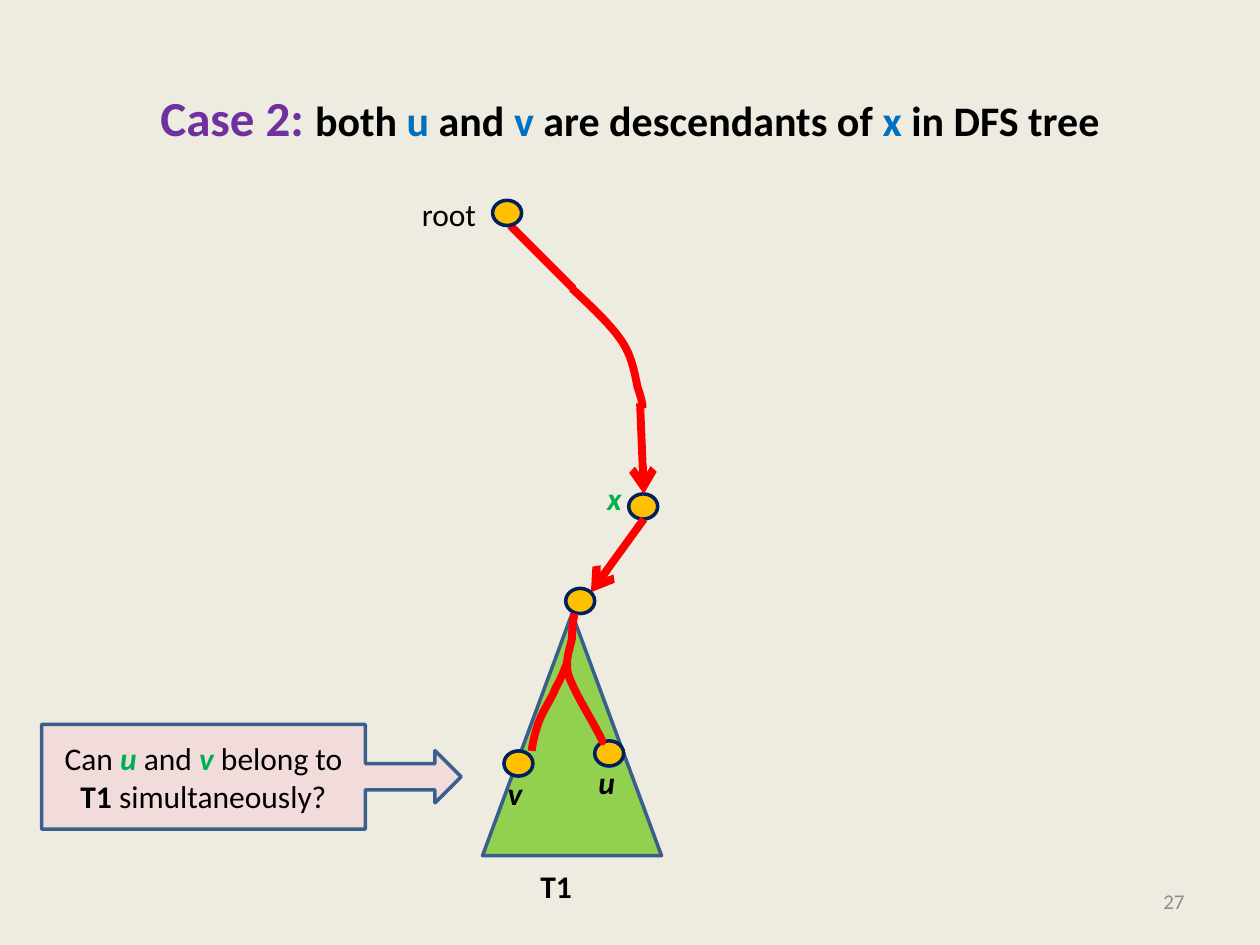
from pptx import Presentation
from pptx import util as u
from pptx.dml import color
from pptx.enum import shapes, text
from pptx.oxml import ns, xmlchemy

Inches, Pt = u.Inches, u.Pt
FONT = "Calibri"
COLORS = {
    "background": "EEECE1", "black": "000000", "purple": "7030A0",
    "blue": "0070C0", "green": "00B050", "gray": "8C8C8C",
    "path": "FF0000", "node": "FFC000", "node_edge": "002060",
    "subtree": "92D050", "callout": "F2DCDB", "outline": "3A5F8C",
}
NODE_WIDTH, NODE_HEIGHT, LABEL_HEIGHT = 0.23, 0.2, 0.4
CURVE_STEPS = 12


def rgb(name):
    return color.RGBColor.from_string(COLORS[name])


def write(frame, spans, size=18, align=text.PP_ALIGN.LEFT,
          anchor=text.MSO_ANCHOR.TOP, wrap=True):
    frame.word_wrap = wrap
    frame.vertical_anchor = anchor
    para = frame.paragraphs[0]
    para.alignment = align
    para.font.name = FONT
    para.font.size = Pt(size)
    for words, tint, style in spans:
        span = para.add_run()
        span.text = words
        span.font.color.rgb = rgb(tint)
        if "b" in style:
            span.font.bold = True
        if "i" in style:
            span.font.italic = True
    return para


def add_text(page, left, top, width, height, spans, **options):
    box = page.shapes.add_textbox(*map(Inches, (left, top, width, height)))
    return write(box.text_frame, spans, **options)


def add_filled(page, preset, left, top, width, height, fill, line):
    shape = page.shapes.add_shape(preset, *map(Inches, (left, top, width, height)))
    shape.shadow.inherit = False
    shape.fill.solid()
    shape.fill.fore_color.rgb = rgb(fill)
    shape.line.color.rgb = rgb(line)
    shape.line.width = Pt(2)
    return shape


def add_node(page, left, top):
    add_filled(page, shapes.MSO_SHAPE.OVAL, left, top, NODE_WIDTH, NODE_HEIGHT,
               "node", "node_edge")


def add_label(page, left, top, width, words, tint="black", style=""):
    add_text(page, left, top, width, LABEL_HEIGHT, [(words, tint, style)], wrap=False)


def style_path(shape):
    shape.line.color.rgb = rgb("path")
    shape.line.width = Pt(4.5)


def add_edge(page, start, end, arrow=False):
    edge = page.shapes.add_connector(
        shapes.MSO_CONNECTOR.STRAIGHT, *map(Inches, (*start, *end)))
    style_path(edge)
    properties = edge.line._get_or_add_ln()
    if arrow:
        head = xmlchemy.OxmlElement("a:tailEnd")
        head.set("type", "arrow")
        properties.append(head)
    properties.getparent().append(xmlchemy.OxmlElement("a:effectLst"))


def bezier(points, t):
    weights = ((1 - t) ** 3, 3 * t * (1 - t) ** 2, 3 * t * t * (1 - t), t ** 3)
    return tuple(sum(w * p[axis] for w, p in zip(weights, points)) for axis in (0, 1))


def add_curve(page, left, top, points):
    placed = [(left + x, top + y) for x, y in points]
    samples = [bezier(placed[i:i + 4], step / CURVE_STEPS)
               for i in range(0, len(placed) - 1, 3)
               for step in range(1, CURVE_STEPS + 1)]
    builder = page.shapes.build_freeform(*map(Inches, placed[0]), scale=1.0)
    builder.add_line_segments([(Inches(x), Inches(y)) for x, y in samples], close=False)
    curve = builder.convert_to_shape()
    curve.shadow.inherit = False
    curve.fill.background()
    style_path(curve)


def add_title(page, left, top, width, height):
    spans = [("Case 2: ", "purple", "b"), ("both ", "black", "b"), ("u", "blue", "b"),
             (" and ", "black", "b"), ("v", "blue", "b"),
             (" are descendants of ", "black", "b"), ("x ", "blue", "b"),
             ("in DFS tree", "black", "b")]
    para = add_text(page, left, top, width, height, spans, size=24,
                    align=text.PP_ALIGN.CENTER, anchor=text.MSO_ANCHOR.MIDDLE)
    para.runs[0].font.size = Pt(28)


def add_root_path(page, left, top):
    add_node(page, left + 1.74, top + 2.42)
    add_label(page, left + 1.47, top + 2.25, 0.32, "x", "green", "bi")
    add_edge(page, (left + 1.83, top + 1.7), (left + 1.86, top + 2.42), arrow=True)
    add_curve(page, left, top, [
        (1.29, 0.79), (1.44, 0.93), (1.59, 1.07), (1.68, 1.2), (1.77, 1.33),
        (1.79, 1.48), (1.81, 1.57), (1.84, 1.66), (1.85, 1.7), (1.85, 1.74)])
    add_edge(page, (left + 0.8, top + 0.29), (left + 1.3, top + 0.79))
    add_edge(page, (left + 1.86, top + 2.62), (left + 1.44, top + 3.2), arrow=True)
    add_node(page, left + 0.66, top + 0.09)
    add_label(page, left, top, 0.64, "root")


def add_subtree(page, left, top):
    add_filled(page, shapes.MSO_SHAPE.ISOSCELES_TRIANGLE, left, top + 0.2, 1.42, 1.92,
               "subtree", "outline")
    add_node(page, left + 0.66, top)
    add_curve(page, left, top, [
        (0.67, 0.59), (0.65, 0.65), (0.62, 0.72), (0.58, 0.79), (0.55, 0.87),
        (0.48, 0.97), (0.45, 1.05), (0.42, 1.13), (0.4, 1.21), (0.39, 1.29)])
    for name, x, y, width in (("u", 0.89, 1.21, 0.34), ("v", 0.17, 1.29, 0.32)):
        add_node(page, left + x, top + y)
        add_label(page, left + x - 0.07, top + y + 0.13, width, name, style="bi")
    add_label(page, left + 0.36, top + 2.16, 0.45, "T1", style="b")
    add_curve(page, left, top, [
        (0.73, 0.2), (0.72, 0.25), (0.71, 0.31), (0.71, 0.39), (0.7, 0.47),
        (0.65, 0.56), (0.68, 0.68), (0.72, 0.81), (0.87, 1.05), (0.91, 1.13),
        (0.96, 1.22), (0.95, 1.22), (0.95, 1.21)])


def add_question(page, left, top, width, height):
    callout = add_filled(page, shapes.MSO_SHAPE.RIGHT_ARROW_CALLOUT,
                         left, top, width, height, "callout", "outline")
    for index, value in enumerate((0.25, 0.25, 0.25, 0.772)):
        callout.adjustments[index] = value
    spans = [("Can ", "black", ""), ("u ", "green", "bi"), ("and ", "black", ""),
             ("v", "green", "bi"), (" belong to ", "black", ""), ("T1", "black", "b"),
             (" simultaneously?", "black", "")]
    write(callout.text_frame, spans, align=text.PP_ALIGN.CENTER,
          anchor=text.MSO_ANCHOR.MIDDLE)


def add_page_number(page, left, top, width, height):
    add_text(page, left, top, width, height, [("27", "gray", "")], size=12,
             align=text.PP_ALIGN.RIGHT, anchor=text.MSO_ANCHOR.MIDDLE)


def main():
    deck = Presentation()
    deck.slide_width, deck.slide_height = Inches(10), Inches(7.5)
    page = deck.slides.add_slide(deck.slide_layouts[6])
    page.background.fill.solid()
    page.background.fill.fore_color.rgb = rgb("background")
    add_title(page, 0.5, 0.3, 9, 1.25)
    add_page_number(page, 7.17, 6.95, 2.33, 0.4)
    add_root_path(page, 3.25, 1.5)
    add_subtree(page, 3.83, 4.67)
    add_question(page, 0.33, 5.75, 3.33, 0.83)
    deck.save("out.pptx")


if __name__ == "__main__":
    main()
